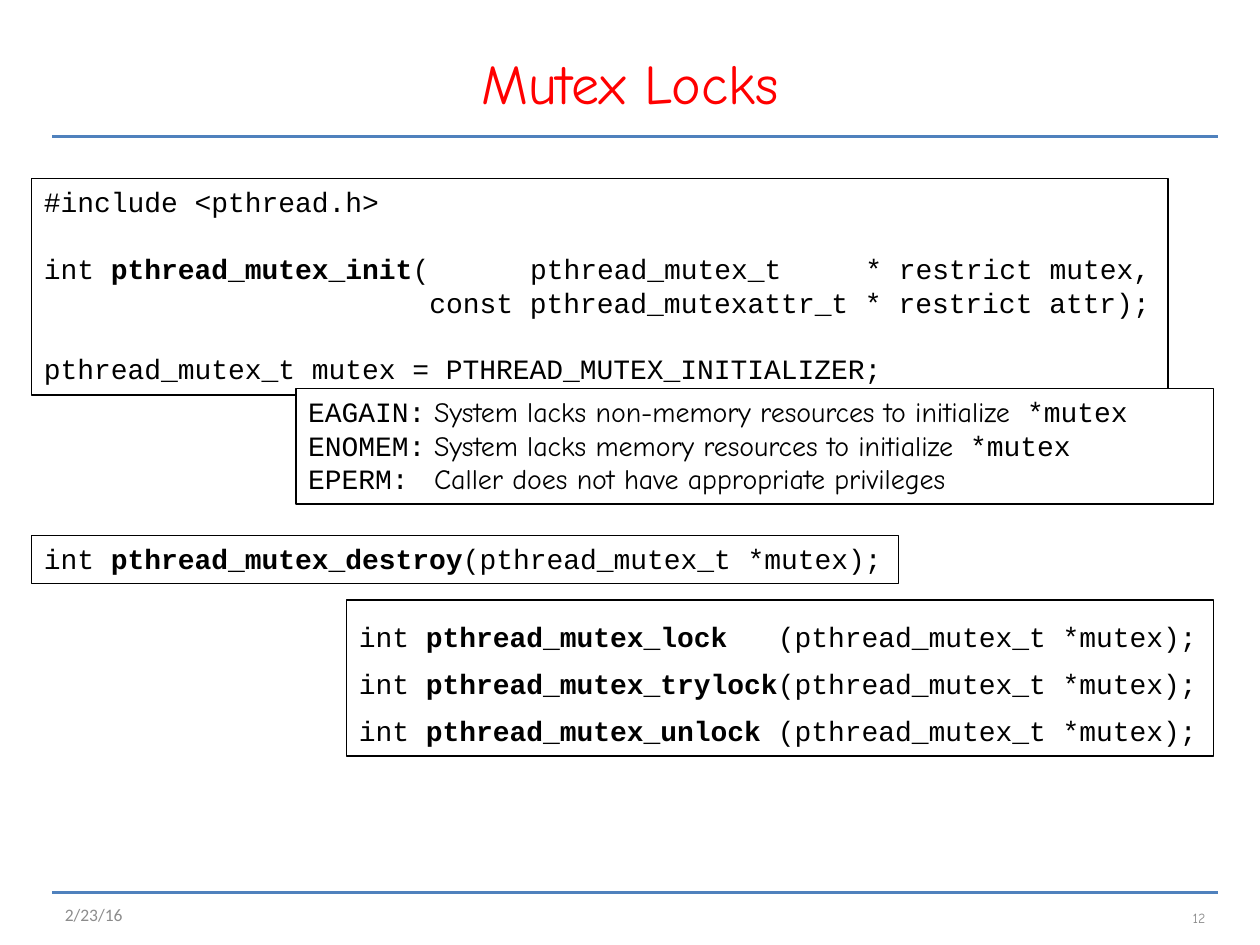
"""Build the slide that lists the mutex lock functions."""
import dataclasses

import lxml.etree
import pptx
import pptx.dml.color
import pptx.enum.shapes
import pptx.enum.text
import pptx.oxml.ns
import pptx.shapes.base
import pptx.slide
import pptx.text.text
import pptx.util

Pt = pptx.util.Pt
ALIGN = pptx.enum.text.PP_ALIGN
ANCHOR = pptx.enum.text.MSO_ANCHOR
COLORS = {"title": "FF0000", "rule": "4F81BD", "ink": "000000", "paper": "FFFFFF", "footer": "8C8C8C"}
CODE, PROSE, FOOTER = "Courier New", "Comic Neue", "Calibri"
CODE_SIZE = 16
CHAR_WIDTH = 9.58
CODE_LINE = 19


@dataclasses.dataclass
class Span:
    text: str
    bold: bool = False
    font: str = CODE


@dataclasses.dataclass
class Line:
    spans: list[Span]
    tabs: tuple[float, ...] = ()
    indent: float = 0
    before: float = 0


@dataclasses.dataclass
class Panel:
    left: float
    top: float
    width: float
    height: float
    lines: list[Line]
    spacing: float = 1.0


def rgb(name: str) -> pptx.dml.color.RGBColor:
    return pptx.dml.color.RGBColor.from_string(COLORS[name])


def add_text(para: pptx.text.text._Paragraph, text: str, *, size: float = CODE_SIZE,
             font: str = CODE, color: str = "ink", bold: bool = False) -> None:
    span = para.add_run()
    span.text = text
    span.font.size = Pt(size)
    span.font.name = font
    span.font.bold = bold
    span.font.color.rgb = rgb(color)


def set_layout(para: pptx.text.text._Paragraph, line: Line) -> None:
    properties = para._p.get_or_add_pPr()
    if line.indent:
        properties.set("marL", str(int(Pt(line.indent))))
    if line.tabs:
        stops = lxml.etree.SubElement(properties, pptx.oxml.ns.qn("a:tabLst"))
        for position in line.tabs:
            lxml.etree.SubElement(stops, pptx.oxml.ns.qn("a:tab"), pos=str(int(Pt(position))), algn="l")


def add_panel(page: pptx.slide.Slide, panel: Panel) -> None:
    box = page.shapes.add_shape(pptx.enum.shapes.MSO_SHAPE.RECTANGLE, Pt(panel.left),
                                Pt(panel.top), Pt(panel.width), Pt(panel.height))
    box.shadow.inherit = False
    box.fill.solid()
    box.fill.fore_color.rgb = rgb("paper")
    box.line.color.rgb = rgb("ink")
    box.line.width = Pt(1)
    frame = box.text_frame
    frame.word_wrap = True
    frame.margin_right = 0
    frame.vertical_anchor = ANCHOR.TOP
    for index, line in enumerate(panel.lines):
        para = frame.add_paragraph() if index else frame.paragraphs[0]
        para.alignment = ALIGN.LEFT
        para.line_spacing = panel.spacing
        para.space_before = Pt(line.before)
        set_layout(para, line)
        for span in line.spans:
            add_text(para, span.text, font=span.font, bold=span.bold)


def add_rule(page: pptx.slide.Slide, top: float) -> None:
    rule = page.shapes.add_connector(pptx.enum.shapes.MSO_CONNECTOR.STRAIGHT,
                                     Pt(30), Pt(top), Pt(696), Pt(top))
    rule.line.color.rgb = rgb("rule")
    rule.line.width = Pt(2)
    lxml.etree.SubElement(rule._element.spPr, pptx.oxml.ns.qn("a:effectLst"))


def place_text(box: pptx.shapes.base.BaseShape, bounds: tuple[float, float, float, float],
               text: str, align: ALIGN, *, size: float, font: str, color: str) -> None:
    box.left, box.top, box.width, box.height = map(Pt, bounds)
    frame = box.text_frame
    frame.word_wrap = True
    frame.vertical_anchor = ANCHOR.MIDDLE
    frame.paragraphs[0].alignment = align
    add_text(frame.paragraphs[0], text, size=size, font=font, color=color)


def prototype(name: str, arguments: str, column: int = 0) -> Line:
    gap = "\t" if column else ""
    tabs = (column * CHAR_WIDTH,) if column else ()
    return Line([Span("int "), Span(name, bold=True), Span(gap + arguments)], tabs)


def error_line(code: str, meaning: str, target: str = "") -> Line:
    spans = [Span(f"{code}:\t"), Span(meaning, font=PROSE)]
    return Line(spans + ([Span(target)] if target else []), (72,))


def build_panels() -> list[Panel]:
    argument = "(pthread_mutex_t *mutex);"
    declaration = Line([Span("int "), Span("pthread_mutex_init", bold=True),
                        Span("(\tpthread_mutex_t\t* restrict mutex,")],
                       (29 * CHAR_WIDTH, 49 * CHAR_WIDTH), before=CODE_LINE)
    attributes = Line([Span("const pthread_mutexattr_t * restrict attr);")], indent=23 * CHAR_WIDTH)
    initializer = Line([Span("pthread_mutex_t mutex = PTHREAD_MUTEX_INITIALIZER;")], before=CODE_LINE)
    lacks = "System lacks {}memory resources to initialize"
    return [
        Panel(18, 102, 649.5, 124,
              [Line([Span("#include <pthread.h>")]), declaration, attributes, initializer]),
        Panel(169, 222, 524.5, 66,
              [error_line("EAGAIN", lacks.format("non-"), " *mutex"),
               error_line("ENOMEM", lacks.format(""), " *mutex"),
               error_line("EPERM", "Caller does not have appropriate privileges")]),
        Panel(18, 306, 495.5, 27.5, [prototype("pthread_mutex_destroy", argument)]),
        Panel(198, 343, 495.5, 89,
              [prototype("pthread_mutex_lock", argument, 25),
               prototype("pthread_mutex_trylock", argument),
               prototype("pthread_mutex_unlock", argument, 25)], spacing=1.4),
    ]


def main() -> None:
    deck = pptx.Presentation()
    deck.slide_width, deck.slide_height = Pt(720), Pt(540)
    page = deck.slides.add_slide(deck.slide_layouts[5])
    for top in (78, 510):
        add_rule(page, top)
    place_text(page.shapes.title, (36, 21.6, 648, 50.4), "Mutex Locks", ALIGN.CENTER,
               size=32, font=PROSE, color="title")
    footers = [((630, 510, 66, 29), "12", ALIGN.RIGHT, 8, PROSE),
               ((30, 511, 108, 23), "2/23/16", ALIGN.LEFT, 10, FOOTER)]
    for bounds, text, align, size, font in footers:
        box = page.shapes.add_textbox(0, 0, 0, 0)
        place_text(box, bounds, text, align, size=size, font=font, color="footer")
    for panel in build_panels():
        add_panel(page, panel)
    deck.save("out.pptx")


if __name__ == "__main__":
    main()
